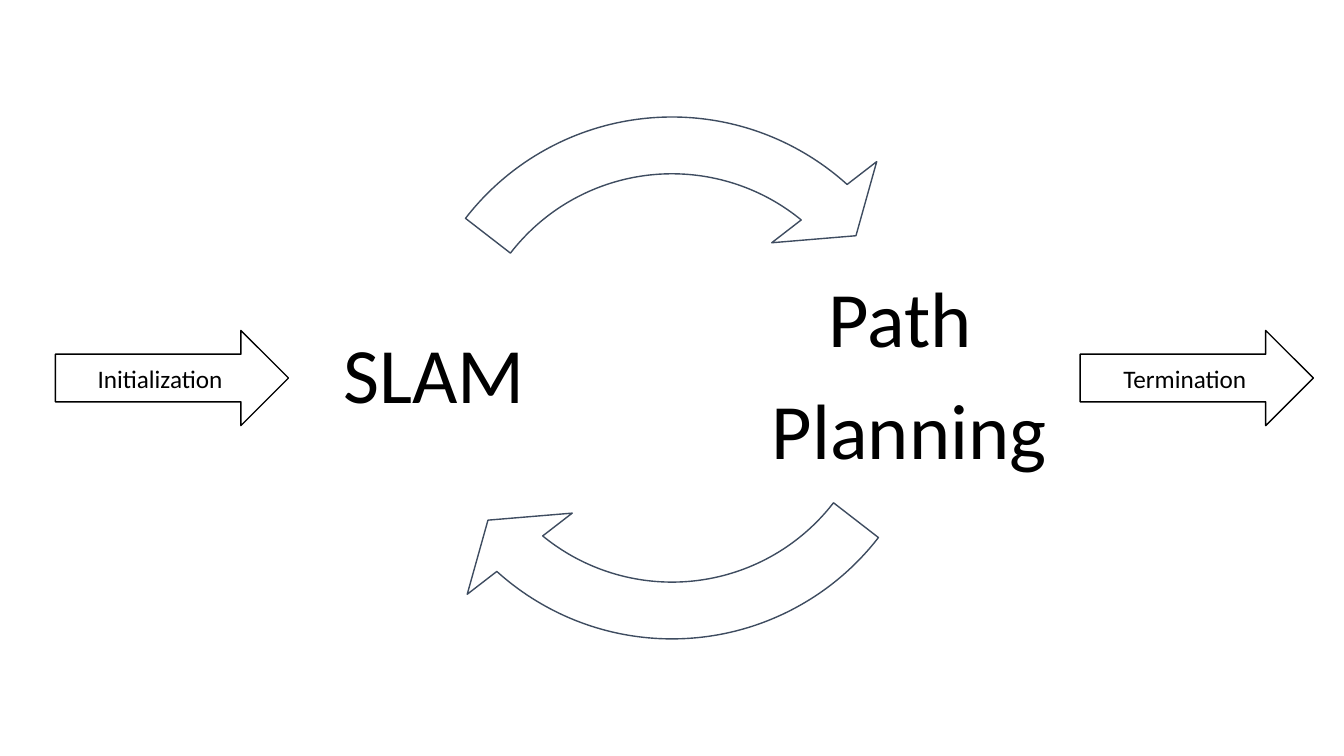
import pptx
import pptx.dml.color
import pptx.enum.shapes
import pptx.enum.text
import pptx.util
from dataclasses import dataclass

Pt = pptx.util.Pt
RGB = pptx.dml.color.RGBColor
PRESET = pptx.enum.shapes.MSO_SHAPE


@dataclass
class Theme:
    """Fonts, type sizes and colours of the slide."""
    font: str = "Calibri"
    stage_size: int = 56
    label_size: int = 18
    ink: str = "000000"
    paper: str = "FFFFFF"
    cycle_line: str = "3E4C60"


theme = Theme()
deck = pptx.Presentation()
deck.slide_width, deck.slide_height = Pt(960), Pt(540)
slide = deck.slides.add_slide(deck.slide_layouts[6])
CENTER_X, CENTER_Y = 480, 270


def write(frame, lines, size):
    """Fill a text frame with centred lines, one paragraph each."""
    frame.word_wrap = True
    frame.vertical_anchor = pptx.enum.text.MSO_ANCHOR.MIDDLE
    for number, line in enumerate(lines):
        paragraph = frame.add_paragraph() if number else frame.paragraphs[0]
        paragraph.alignment = pptx.enum.text.PP_ALIGN.CENTER
        run = paragraph.add_run()
        run.text = line
        run.font.name = theme.font
        run.font.size = Pt(size)
        run.font.color.rgb = RGB.from_string(theme.ink)


def add_arrow(preset, left, top, width, height, line_color):
    """Add an outlined arrow without shadow and return it."""
    arrow = slide.shapes.add_shape(preset, Pt(left), Pt(top), Pt(width), Pt(height))
    arrow.shadow.inherit = False
    arrow.fill.solid()
    arrow.fill.fore_color.rgb = RGB.from_string(theme.paper)
    arrow.line.color.rgb = RGB.from_string(line_color)
    arrow.line.width = Pt(1)
    return arrow


# Two stages, each followed by the cycle arrow that leaves it
STAGE = 207.4
CYCLE = 427
ANGLE_UNIT = 0.6  # adjustment value per degree
HEAD_SPAN, HEAD_ANGLE, TAIL_ANGLE = 11.4, 130.9, 37.7
stages = [
    (["Path ", "Planning"], 545.8, 0),
    (["SLAM"], 206.6, 180),
]
for lines, left, turn in stages:
    stage = slide.shapes.add_textbox(
        Pt(left), Pt(CENTER_Y - STAGE / 2), Pt(STAGE), Pt(STAGE)).text_frame
    stage.margin_left = stage.margin_right = Pt(2)
    stage.margin_top = stage.margin_bottom = Pt(5.6)
    write(stage, lines, theme.stage_size)
    for paragraph in stage.paragraphs:
        paragraph.line_spacing = 0.9
        paragraph.space_after = Pt(19)

    cycle = add_arrow(PRESET.CIRCULAR_ARROW, CENTER_X - CYCLE / 2, CENTER_Y - CYCLE / 2,
                      CYCLE, CYCLE, theme.cycle_line)
    cycle.adjustments[0] = 0.095
    cycle.adjustments[1] = HEAD_SPAN * ANGLE_UNIT
    cycle.adjustments[2] = (HEAD_ANGLE + turn) * ANGLE_UNIT
    cycle.adjustments[3] = (TAIL_ANGLE + turn) * ANGLE_UNIT
    cycle.adjustments[4] = 0.111

# Arrows into and out of the cycle
GATE_WIDTH, GATE_HEIGHT = 166.5, 68
for label, left in [("Initialization", 39.6), ("Termination", 771.6)]:
    gate = add_arrow(PRESET.RIGHT_ARROW, left, CENTER_Y - GATE_HEIGHT / 2,
                     GATE_WIDTH, GATE_HEIGHT, theme.ink)
    write(gate.text_frame, [label], theme.label_size)

deck.save("out.pptx")
